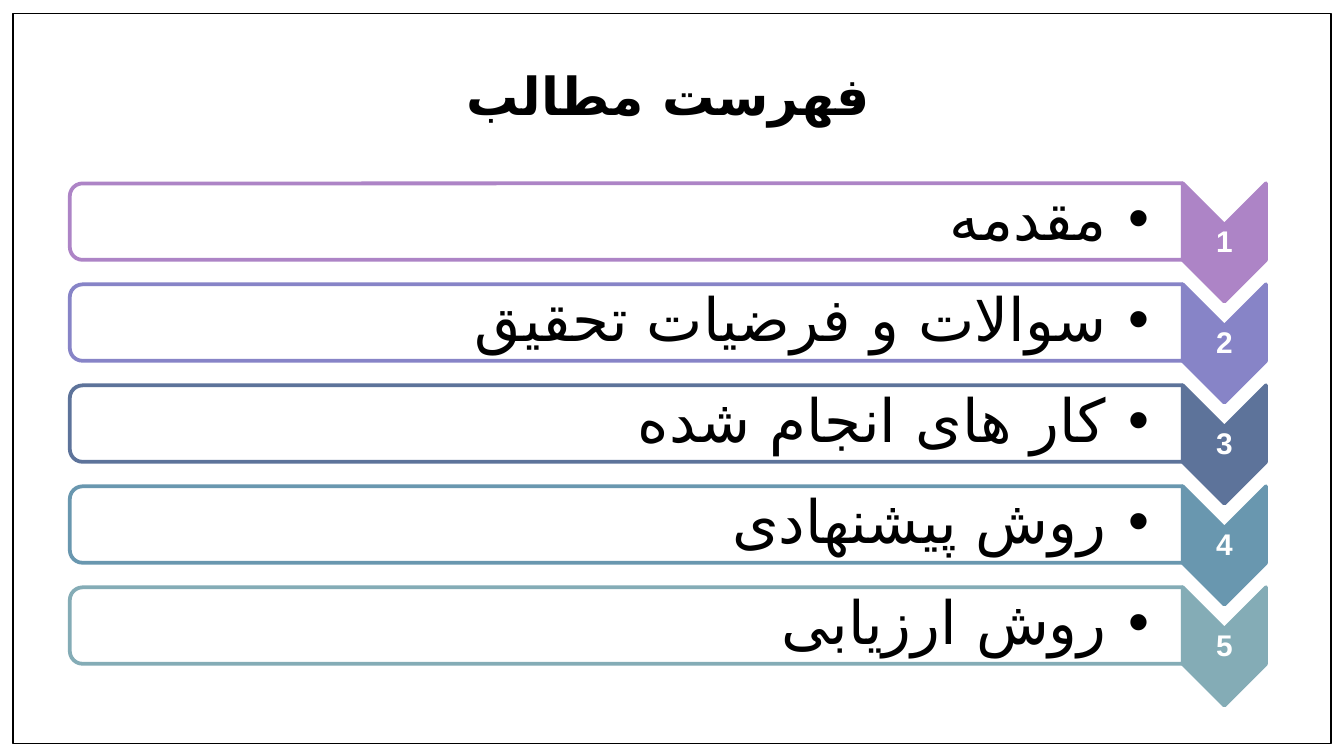
from pptx import Presentation
from pptx.dml.color import RGBColor
from pptx.enum.shapes import MSO_SHAPE
from pptx.enum.text import MSO_ANCHOR, MSO_AUTO_SIZE, PP_ALIGN
from pptx.oxml.ns import qn
from pptx.util import Pt
from lxml.etree import SubElement

BLACK = RGBColor(0x00, 0x00, 0x00)
WHITE = RGBColor(0xFF, 0xFF, 0xFF)
ARABIC_SCRIPT_FONT = "DejaVu Sans"
ENTRIES = [
    ("مقدمه", RGBColor(0xAD, 0x84, 0xC6)),
    ("سوالات و فرضیات تحقیق", RGBColor(0x87, 0x84, 0xC7)),
    ("کار های انجام شده", RGBColor(0x5D, 0x73, 0x9A)),
    ("روش پیشنهادی", RGBColor(0x69, 0x97, 0xAF)),
    ("روش ارزیابی", RGBColor(0x84, 0xAC, 0xB6)),
]
ROW_PITCH = 54.1
ROW_HEIGHT = 41
CHEVRON_WIDTH = 44.6
CHEVRON_HEIGHT = 63.4


def place(shape, left, top, width, height):
    """Move a shape to a box given in points."""
    shape.left, shape.top = Pt(left), Pt(top)
    shape.width, shape.height = Pt(width), Pt(height)


def write(box, text, size, font="Arial", script_font=ARABIC_SCRIPT_FONT, color=BLACK,
          bold=False, align=PP_ALIGN.CENTER, anchor=MSO_ANCHOR.MIDDLE,
          insets=(0.7, 0.7, 0.7, 0.7), spacing=0.9, bullet=None, indent=22.5):
    """Write one right-to-left paragraph into a box."""
    frame = box.text_frame
    frame.word_wrap = True
    frame.auto_size = MSO_AUTO_SIZE.NONE
    frame.vertical_anchor = anchor
    frame.margin_left, frame.margin_top, frame.margin_right, frame.margin_bottom = map(Pt, insets)
    para = frame.paragraphs[0]
    para.alignment = align
    para.line_spacing = spacing
    properties = para._p.get_or_add_pPr()
    properties.set("rtl", "1")
    if bullet:
        para.level = 1
        properties.set("marL", str(Pt(indent)))
        properties.set("indent", str(-Pt(indent)))
        bullet_color = SubElement(properties, qn("a:buClr"))
        SubElement(bullet_color, qn("a:srgbClr"), val=str(color))
        SubElement(properties, qn("a:buFont"), typeface="Arial")
        SubElement(properties, qn("a:buChar"), char=bullet)
    span = para.add_run()
    span.text = text
    span.font.size = Pt(size)
    span.font.name = font
    span.font.bold = bold
    span.font.color.rgb = color
    SubElement(span.font._element, qn("a:cs"), typeface=script_font)


def add_outline(page, kind, box, line, weight, fill=None, rotation=0, opacity=100):
    """Add a preset shape whose visible bounds, after rotation, are the box."""
    left, top, width, height = box
    if rotation:
        left, top = left + (width - height) / 2, top + (height - width) / 2
        width, height = height, width
    shape = page.shapes.add_shape(kind, Pt(left), Pt(top), Pt(width), Pt(height))
    shape.rotation = rotation
    shape.shadow.inherit = False
    shape.line.color.rgb = line
    shape.line.width = Pt(weight)
    if fill is None:
        shape.fill.background()
    else:
        shape.fill.solid()
        shape.fill.fore_color.rgb = fill
        if opacity < 100:
            fill_color = shape.element.spPr.find(qn("a:solidFill"))[0]
            SubElement(fill_color, qn("a:alpha"), val=str(opacity * 1000))
    return shape


def add_text(page, text, box, **style):
    """Add a text box with formatted text."""
    write(page.shapes.add_textbox(*map(Pt, box)), text, **style)


def add_title(page, text, box):
    """Place and format the title placeholder."""
    title = page.shapes.title
    place(title, *box)
    write(title, text, size=28, font="Manrope", bold=True, spacing=1.0,
          anchor=MSO_ANCHOR.TOP, insets=(7.2, 7.2, 7.2, 7.2))


def add_entry(page, number, text, color, box):
    """Add a numbered chevron and its bar, starting in the given box."""
    left, top, width, height = box
    bar_width = width - CHEVRON_WIDTH
    chevron_left = left + bar_width
    add_outline(page, MSO_SHAPE.CHEVRON,
                (chevron_left, top, CHEVRON_WIDTH, CHEVRON_HEIGHT),
                color, 2, fill=color, rotation=90)
    add_text(page, str(number), (chevron_left, top + 22.2, CHEVRON_WIDTH, 19.4),
             size=16, script_font="Arial", color=WHITE, bold=True)
    add_outline(page, MSO_SHAPE.ROUND_2_SAME_RECTANGLE, (left, top, bar_width, height),
                color, 2, fill=WHITE, rotation=270, opacity=90)
    add_text(page, text, (left + 2, top + 2, bar_width - 2, height - 4),
             size=32, align=PP_ALIGN.RIGHT, insets=(1.4, 1.4, 18, 1.4), bullet="•")


def add_contents(page, box):
    """Stack the entries downwards from the top of the box."""
    left, top, width = box
    for index, (text, color) in enumerate(ENTRIES):
        add_entry(page, index + 1, text, color,
                  (left, top + index * ROW_PITCH, width, ROW_HEIGHT))


def main():
    """Build and save the contents slide."""
    deck = Presentation()
    deck.slide_width, deck.slide_height = Pt(720), Pt(405)
    page = deck.slides.add_slide(deck.slide_layouts[5])
    add_outline(page, MSO_SHAPE.RECTANGLE, (7, 7.2, 706, 391), BLACK, 0.75)
    add_title(page, "فهرست مطالب", (37.4, 26.6, 641, 45.4))
    add_contents(page, (37.4, 98.2, 640.8))
    deck.save("out.pptx")


if __name__ == "__main__":
    main()
